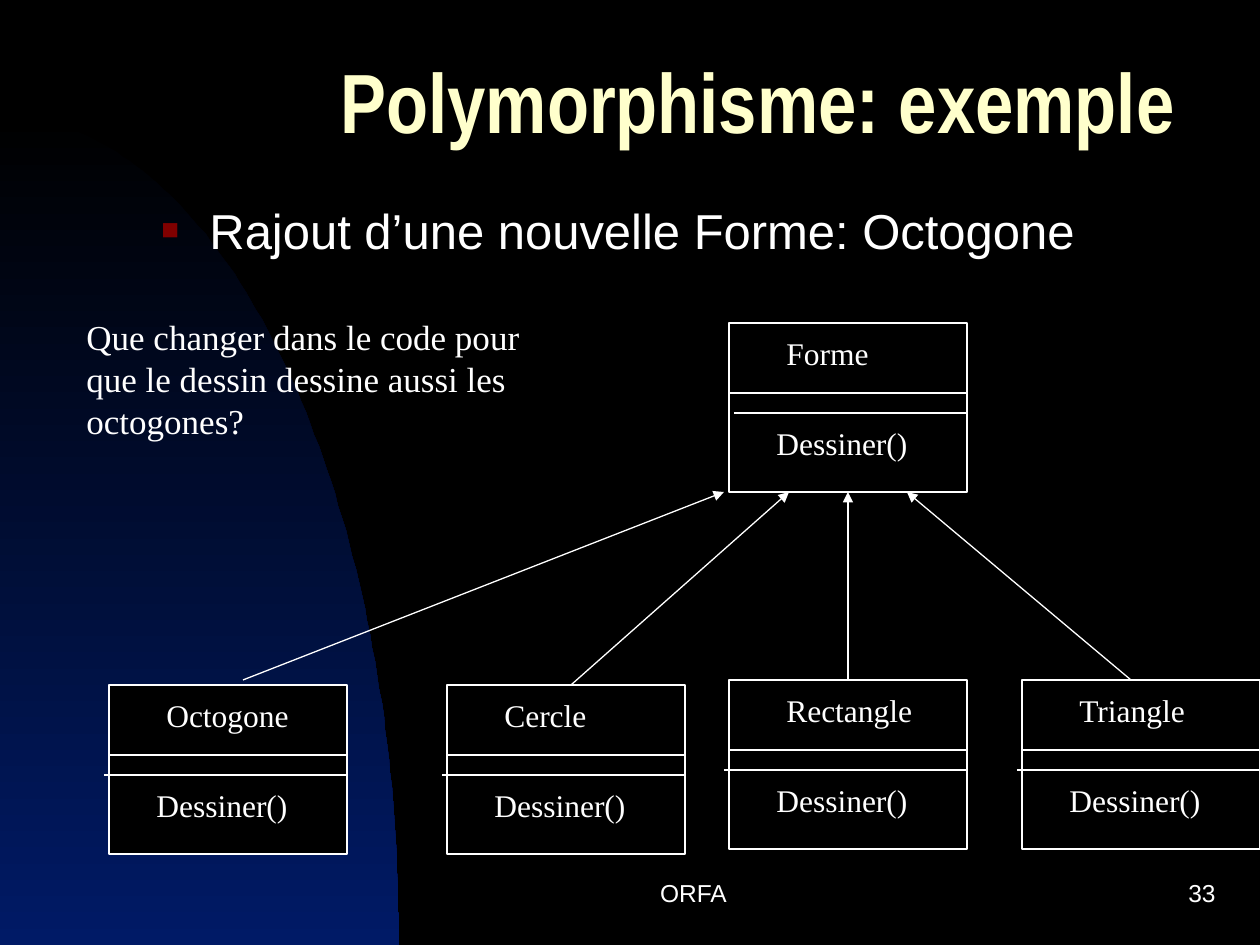
import math

import pptx
import pptx.dml.color
import pptx.enum.shapes
import pptx.enum.text
import pptx.oxml
import pptx.oxml.ns
import pptx.util

EMU_PER_PX = 914400 / 126
WIDTH, HEIGHT = 1260, 945
ALIGN = pptx.enum.text.PP_ALIGN
ANCHOR = pptx.enum.text.MSO_ANCHOR
AUTO_SIZE = pptx.enum.text.MSO_AUTO_SIZE
WHITE, BLACK = "FFFFFF", "000000"


def px(*lengths):
    return [pptx.util.Emu(round(length * EMU_PER_PX)) for length in lengths]


def color(hex_string):
    return pptx.dml.color.RGBColor.from_string(hex_string)


def xml(tag, **attributes):
    element = pptx.oxml.parse_xml(f"<a:{tag} {pptx.oxml.ns.nsdecls('a')}/>")
    for name, value in attributes.items():
        element.set(name, value)
    return element


def apply_values(target, values):
    for name, value in values.items():
        setattr(target, name, value)


class SlideBuilder:
    line_width = pptx.util.Pt(0.75)
    serif = "Times New Roman"
    sans = "Arial"

    def __init__(self, presentation):
        self.slide = presentation.slides.add_slide(presentation.slide_layouts[5])
        self.shapes = self.slide.shapes
        self.background(BLACK)

    def background(self, fill):
        self.slide.background.fill.solid()
        self.slide.background.fill.fore_color.rgb = color(fill)

    def set_text(self, shape, text, font, frame, paragraph_format):
        apply_values(shape.text_frame, {"word_wrap": True, **frame})
        paragraph = shape.text_frame.paragraphs[0]
        apply_values(paragraph, {"alignment": ALIGN.LEFT, **paragraph_format})
        run = paragraph.add_run()
        run.text = text
        font = {"name": self.serif, "color": WHITE, **font}
        run.font.color.rgb = color(font.pop("color"))
        apply_values(run.font, font)
        return paragraph

    def title(self, box, text, font, paragraph_format):
        shape = self.shapes.title
        apply_values(shape, dict(zip(("left", "top", "width", "height"), px(*box))))
        frame = {"vertical_anchor": ANCHOR.MIDDLE, "auto_size": AUTO_SIZE.NONE}
        self.set_text(shape, text, font, frame, paragraph_format)

    def text(self, box, text, font, frame=None, **paragraph_format):
        shape = self.shapes.add_textbox(*px(*box))
        frame = frame or {"auto_size": AUTO_SIZE.SHAPE_TO_FIT_TEXT}
        return self.set_text(shape, text, font, frame, paragraph_format)

    def bullet(self, box, text, font, indent, **paragraph_format):
        frame = {"auto_size": AUTO_SIZE.NONE}
        paragraph = self.text(box, text, font, frame, **paragraph_format)
        properties = paragraph._p.get_or_add_pPr()
        distance = px(indent)[0]
        properties.set("marL", str(distance))
        properties.set("indent", str(-distance))
        bullet_color = xml("buClr")
        bullet_color.append(xml("srgbClr", val="800000"))
        for element in (bullet_color, xml("buSzPct", val="60000"),
                        xml("buFont", typeface=self.sans), xml("buChar", char="■")):
            properties.append(element)

    def rectangle(self, box):
        shape = self.shapes.add_shape(
            pptx.enum.shapes.MSO_SHAPE.RECTANGLE, *px(*box))
        shape.shadow.inherit = False
        shape.fill.solid()
        shape.fill.fore_color.rgb = color(BLACK)
        shape.line.color.rgb = color(WHITE)
        shape.line.width = self.line_width
        return shape

    def line(self, start, end, arrow=False):
        connector = self.shapes.add_connector(
            pptx.enum.shapes.MSO_CONNECTOR.STRAIGHT, *px(*start, *end))
        connector.line.color.rgb = color(WHITE)
        connector.line.width = self.line_width
        properties = connector._element.spPr
        properties.append(xml("effectLst"))
        if arrow:
            outline = properties.find(pptx.oxml.ns.qn("a:ln"))
            outline.append(xml("tailEnd", type="triangle"))
        return connector

    def quarter_ellipse(self, radius_x, radius_y, top_color, bottom_color, steps=90):
        angles = [math.pi / 2 * step / steps for step in range(steps + 1)]
        points = [(radius_x * math.sin(angle), HEIGHT - radius_y * math.cos(angle))
                  for angle in angles]
        builder = self.shapes.build_freeform(0, HEIGHT, scale=EMU_PER_PX)
        builder.add_line_segments(points, close=True)
        shape = builder.convert_to_shape()
        shape.shadow.inherit = False
        shape.line.fill.background()
        shape.fill.gradient()
        shape.fill.gradient_angle = 270
        for stop, value in zip(shape.fill.gradient_stops, (top_color, bottom_color)):
            stop.color.rgb = color(value)

    def class_box(self, left, top, name, divider_offset=-5):
        width, height = 238, 169
        box = self.rectangle((left, top, width, height))
        for start, drop in ((0, 70), (divider_offset, 90)):
            self.line((left + start, top + drop), (left + width, top + drop))
        font = {"size": pptx.util.Pt(18)}
        self.text((left + 45, top + 5, 179, 50), name, font,
                  space_before=pptx.util.Pt(11.2))
        self.text((left + 35, top + 95, 194, 50), "Dessiner()", font)
        return box


def main():
    presentation = pptx.Presentation()
    presentation.slide_width, presentation.slide_height = px(WIDTH, HEIGHT)
    builder = SlideBuilder(presentation)

    # Backdrop, title and bullet
    builder.quarter_ellipse(399, 829, BLACK, "001A66")
    builder.title((328, 45, 896, 135), "Polymorphisme: exemple",
                  {"name": "Arial Narrow", "size": pptx.util.Pt(48),
                   "bold": True, "color": "FFFFCC"}, {"line_spacing": 0.7})
    builder.bullet((149, 194, 1075, 105), "Rajout d’une nouvelle Forme: Octogone",
                   {"name": builder.sans, "size": pptx.util.Pt(28)}, 48,
                   space_before=pptx.util.Pt(7))

    # Class diagram
    parent = builder.class_box(729, 323, "Forme", divider_offset=5)
    children = {name: builder.class_box(left, top, name) for name, left, top in (
        ("Cercle", 447, 685), ("Triangle", 1022, 680),
        ("Rectangle", 729, 680), ("Octogone", 109, 685))}

    # Inheritance arrows
    for start, end in (((571, 685), (789, 492)), ((1131, 680), (907, 492)),
                       ((243, 680), (724, 492))):
        builder.line(start, end, arrow=True)
    middle = builder.line((848, 680), (848, 492), arrow=True)
    middle.begin_connect(children["Rectangle"], 0)
    middle.end_connect(parent, 2)

    # Question
    builder.text((74, 309, 501, 139),
                 "Que changer dans le code pour que le dessin dessine aussi les octogones?",
                 {"size": pptx.util.Pt(20)}, space_before=pptx.util.Pt(12.5))

    # Footer
    for box, text, alignment in (((494, 861, 399, 63), "ORFA", ALIGN.CENTER),
                                 ((966, 861, 262, 63), "33", ALIGN.RIGHT)):
        builder.text(box, text, {"name": builder.sans, "size": pptx.util.Pt(14)},
                     {"vertical_anchor": ANCHOR.MIDDLE}, alignment=alignment)

    presentation.save("out.pptx")


if __name__ == "__main__":
    main()
